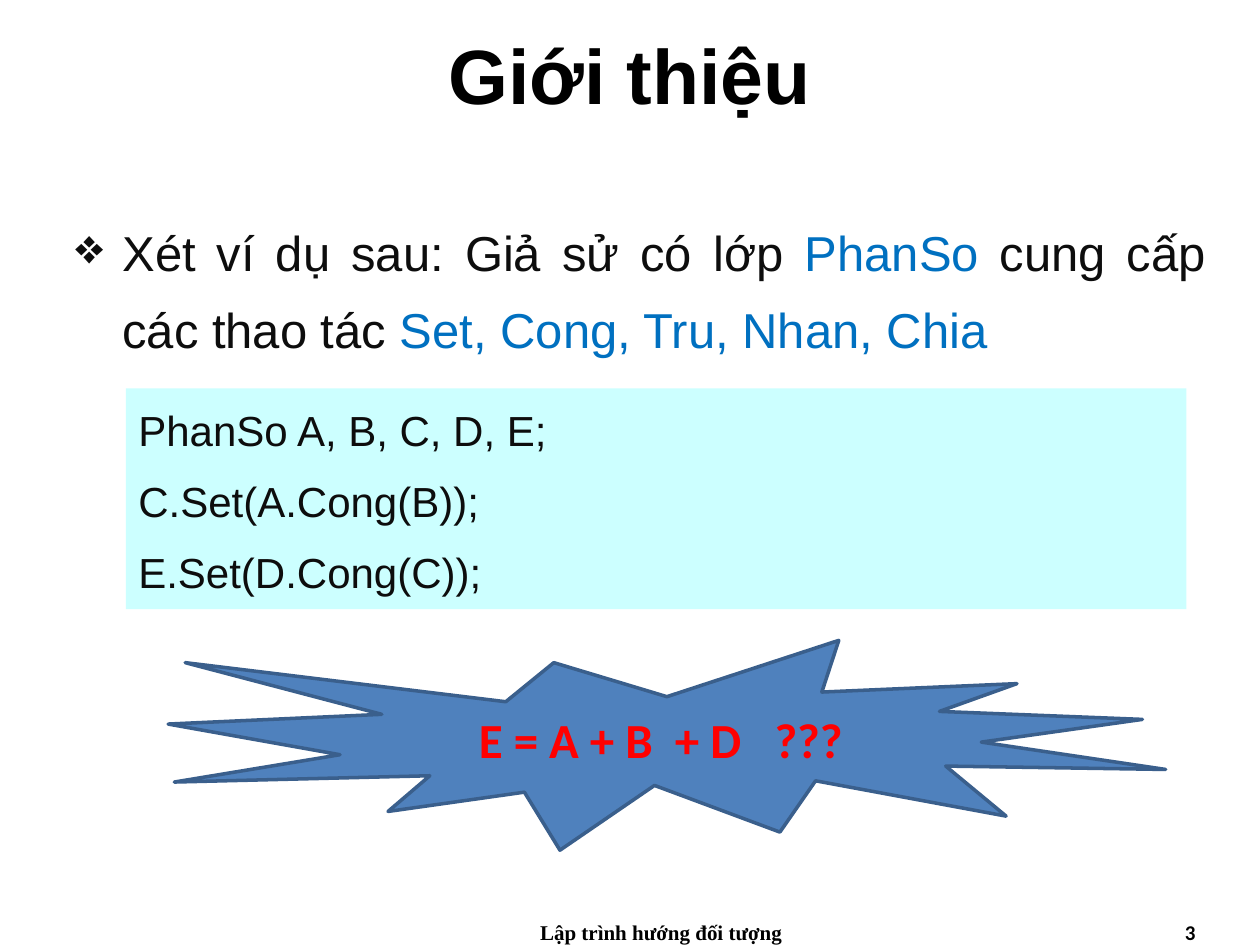
import pptx
import pptx.dml.color
import pptx.enum.shapes
import pptx.enum.text
import pptx.oxml.ns
import pptx.util
from dataclasses import dataclass
from lxml import etree

Cm = pptx.util.Cm
Pt = pptx.util.Pt
ALIGN = pptx.enum.text.PP_ALIGN
ANCHOR = pptx.enum.text.MSO_ANCHOR
SHAPE = pptx.enum.shapes.MSO_SHAPE


@dataclass(frozen=True)
class Theme:
    black: str = "000000"
    body: str = "0D0D0D"
    accent: str = "0070C0"
    alert: str = "FF0000"
    code_fill: str = "CCFFFF"
    burst_fill: str = "4F81BD"
    burst_line: str = "3A5F8C"
    sans: str = "Arial"
    callout: str = "Calibri"
    serif: str = "Times New Roman"
    title_size: int = 44
    body_size: int = 28
    code_size: int = 24
    footer_size: int = 12


THEME = Theme()


def rgb(value):
    return pptx.dml.color.RGBColor.from_string(value)


def add_run(p, text, size, color, font=THEME.sans, bold=False):
    r = p.add_run()
    r.text = text
    r.font.name = font
    r.font.size = Pt(size)
    r.font.bold = bold
    r.font.color.rgb = rgb(color)


def add_text(s, box, align, anchor=ANCHOR.TOP):
    """Add a wrapping text box and return its first paragraph."""
    tf = s.shapes.add_textbox(*map(Cm, box)).text_frame
    tf.word_wrap = True
    tf.vertical_anchor = anchor
    p = tf.paragraphs[0]
    p.alignment = align
    return p


def add_block(s, preset, box, fill, line=None):
    """Add a filled preset shape and return its text frame."""
    sp = s.shapes.add_shape(preset, *map(Cm, box))
    sp.shadow.inherit = False
    sp.fill.solid()
    sp.fill.fore_color.rgb = rgb(fill)
    if line:
        sp.line.color.rgb = rgb(line)
        sp.line.width = Pt(2)
    else:
        sp.line.fill.background()
    sp.text_frame.word_wrap = True
    return sp.text_frame


def set_bullet(p, char, indent):
    pPr = p._p.get_or_add_pPr()
    pPr.set("marL", str(Cm(indent)))
    pPr.set("indent", str(Cm(-indent)))
    bullet = etree.SubElement(pPr, pptx.oxml.ns.qn("a:buChar"))
    bullet.set("char", char)


def add_title(s, text):
    p = add_text(s, (0, 0, 25.4, 2.97), ALIGN.CENTER, ANCHOR.MIDDLE)
    add_run(p, text, THEME.title_size, THEME.black, bold=True)


def add_bullet_text(s, parts):
    p = add_text(s, (1.27, 4.01, 23.29, 13.69), ALIGN.JUSTIFY)
    p.line_spacing = 1.3
    p.space_before = p.space_after = Pt(3)
    set_bullet(p, "❖", 0.95)
    for text, color in parts:
        add_run(p, text, THEME.body_size, color)


def add_code(s, lines):
    tf = add_block(s, SHAPE.RECTANGLE, (2.54, 7.83, 21.38, 4.45), THEME.code_fill)
    tf.vertical_anchor = ANCHOR.TOP
    for i, line in enumerate(lines):
        p = tf.add_paragraph() if i else tf.paragraphs[0]
        p.alignment = ALIGN.LEFT
        p.line_spacing = 1.2
        p.space_before = Pt(6)
        add_run(p, line, THEME.code_size, THEME.body)


def add_burst(s, text):
    tf = add_block(s, SHAPE.EXPLOSION1, (3.39, 12.91, 20.11, 4.23),
                   THEME.burst_fill, THEME.burst_line)
    tf.vertical_anchor = ANCHOR.MIDDLE
    p = tf.paragraphs[0]
    p.alignment = ALIGN.CENTER
    add_run(p, text, THEME.body_size, THEME.alert, THEME.callout, bold=True)


def add_footer(s, left, width, text, align, font):
    p = add_text(s, (left, 18.42, width, 0.63), align)
    add_run(p, text, THEME.footer_size, THEME.black, font, bold=True)


def main():
    prs = pptx.Presentation()
    prs.slide_width, prs.slide_height = Cm(25.4), Cm(19.05)
    s = prs.slides.add_slide(prs.slide_layouts[6])

    add_title(s, "Giới thiệu")
    add_bullet_text(s, [
        ("Xét ví dụ sau: Giả sử có lớp ", THEME.body),
        ("PhanSo", THEME.accent),
        (" cung cấp các thao tác ", THEME.body),
        ("Set, Cong, Tru, Nhan, Chia", THEME.accent),
    ])
    add_footer(s, 9.31, 8.04, "Lập trình hướng đối tượng", ALIGN.CENTER, THEME.serif)
    add_footer(s, 18.42, 5.93, "3", ALIGN.RIGHT, THEME.callout)
    add_code(s, ["PhanSo A, B, C, D, E;", "C.Set(A.Cong(B));", "E.Set(D.Cong(C));"])
    add_burst(s, "E = A + B  + D   ???")

    prs.save("out.pptx")


if __name__ == "__main__":
    main()
